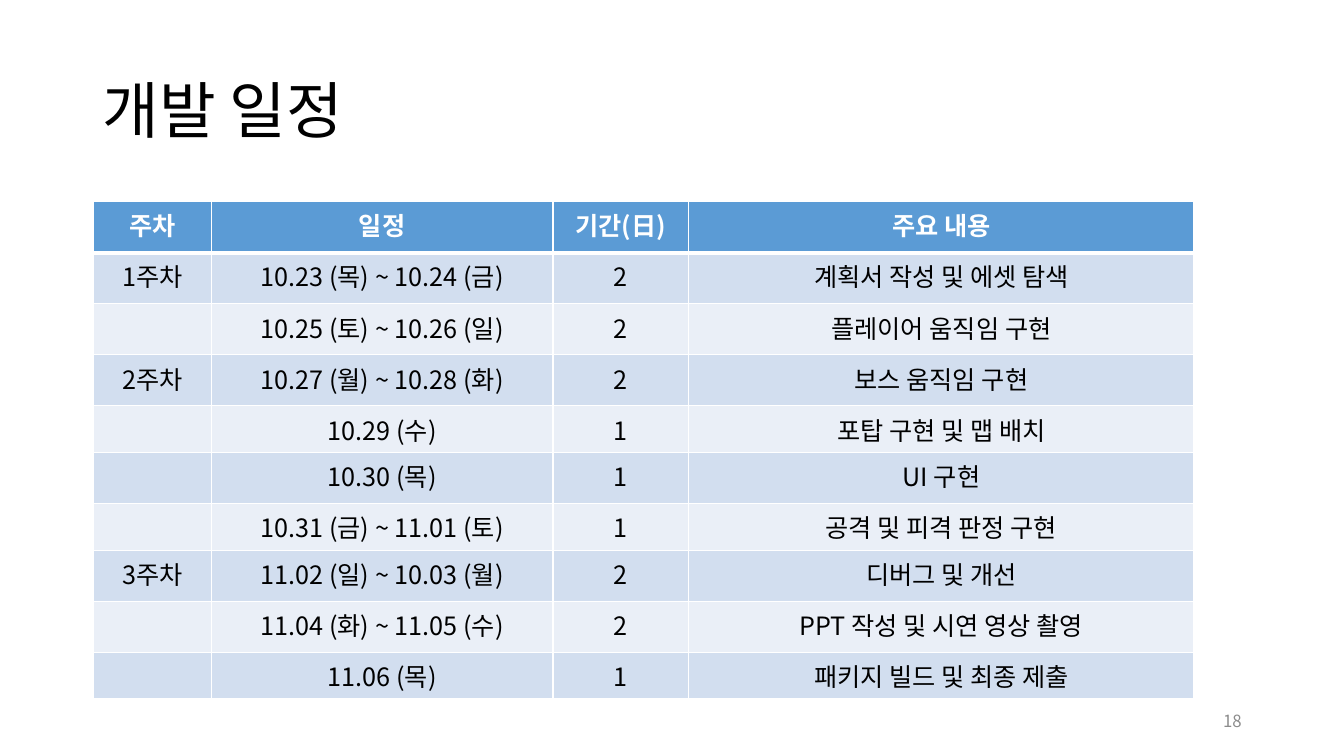
import pptx
import pptx.util
import pptx.dml.color
import pptx.enum.text
import pptx.oxml
import pptx.oxml.ns
from lxml import etree

Pt = pptx.util.Pt
ALIGN = pptx.enum.text.PP_ALIGN
MIDDLE = pptx.enum.text.MSO_ANCHOR.MIDDLE
FONT = "Noto Sans CJK KR"
COLORS = {
    "text": "000000",
    "white": "FFFFFF",
    "head": "5B9BD5",
    "odd": "D2DEEF",
    "even": "EAEFF7",
    "page": "8C8C8C",
}
HEAD = ("주차", "일정", "기간(日)", "주요 내용")
PLAN = [
    ("1주차", "10.23 (목) ~ 10.24 (금)", "2", "계획서 작성 및 에셋 탐색"),
    ("", "10.25 (토) ~ 10.26 (일)", "2", "플레이어 움직임 구현"),
    ("2주차", "10.27 (월) ~ 10.28 (화)", "2", "보스 움직임 구현"),
    ("", "10.29 (수)", "1", "포탑 구현 및 맵 배치"),
    ("", "10.30 (목)", "1", "UI 구현"),
    ("", "10.31 (금) ~ 11.01 (토)", "1", "공격 및 피격 판정 구현"),
    ("3주차", "11.02 (일) ~ 10.03 (월)", "2", "디버그 및 개선"),
    ("", "11.04 (화) ~ 11.05 (수)", "2", "PPT 작성 및 시연 영상 촬영"),
    ("", "11.06 (목)", "1", "패키지 빌드 및 최종 제출"),
]
WIDTHS = (84.5, 244, 97, 361)
TALL, SHORT = 36.5, 21
SHORT_ROWS = (4, 6, 9)


def rgb(key):
    return pptx.dml.color.RGBColor.from_string(COLORS[key])


def write(para, text, size, color, align, bold=False):
    para.alignment = align
    run = para.add_run()
    run.text = text
    font = run.font
    font.size = Pt(size)
    font.bold = bold
    font.color.rgb = rgb(color)
    font.name = FONT
    # Hangul takes its typeface from the East Asian font slot
    east = etree.SubElement(font._element, pptx.oxml.ns.qn("a:ea"))
    east.set("typeface", FONT)


def place(shape, box):
    shape.left, shape.top, shape.width, shape.height = map(Pt, box)


def add_title(slide, box, text):
    title = slide.shapes.title
    place(title, box)
    frame = title.text_frame
    frame.vertical_anchor = MIDDLE
    para = frame.paragraphs[0]
    para.line_spacing = 0.9
    write(para, text, 44, "text", ALIGN.LEFT)


def edge(cell, side, width):
    """Draw one white border of a cell; call before the cell is filled."""
    line = pptx.oxml.parse_xml(
        f'<a:ln{side} {pptx.oxml.ns.nsdecls("a")} w="{Pt(width)}"><a:solidFill>'
        f'<a:srgbClr val="{COLORS["white"]}"/></a:solidFill></a:ln{side}>')
    cell._tc.get_or_add_tcPr().append(line)


def add_plan(slide, box):
    rows = [HEAD] + PLAN
    table = slide.shapes.add_table(len(rows), len(HEAD), *map(Pt, box)).table
    for col, width in zip(table.columns, WIDTHS):
        col.width = Pt(width)
    for r, texts in enumerate(rows):
        table.rows[r].height = Pt(SHORT if r in SHORT_ROWS else TALL)
        top = r == 0
        fill = "head" if top else "odd" if r % 2 else "even"
        for c, text in enumerate(texts):
            cell = table.cell(r, c)
            for side in "LRTB":
                thick = (top and side == "B") or (r == 1 and side == "T")
                edge(cell, side, 3 if thick else 1)
            cell.fill.solid()
            cell.fill.fore_color.rgb = rgb(fill)
            if text:
                write(cell.text_frame.paragraphs[0], text, 18,
                      "white" if top else "text", ALIGN.CENTER, top)


def add_page(slide, box, text):
    frame = slide.shapes.add_textbox(*map(Pt, box)).text_frame
    frame.word_wrap = True
    frame.vertical_anchor = MIDDLE
    write(frame.paragraphs[0], text, 12, "page", ALIGN.RIGHT)


def main():
    deck = pptx.Presentation()
    deck.slide_width, deck.slide_height = Pt(960), Pt(540)
    slide = deck.slides.add_slide(deck.slide_layouts[5])
    add_title(slide, (66, 28.75, 828, 104.4), "개발 일정")
    high = TALL * (len(PLAN) + 1 - len(SHORT_ROWS)) + SHORT * len(SHORT_ROWS)
    add_plan(slide, (66.5, 144, sum(WIDTHS), high))
    add_page(slide, (678, 500.5, 216, 28.75), "18")
    deck.save("out.pptx")


if __name__ == "__main__":
    main()
